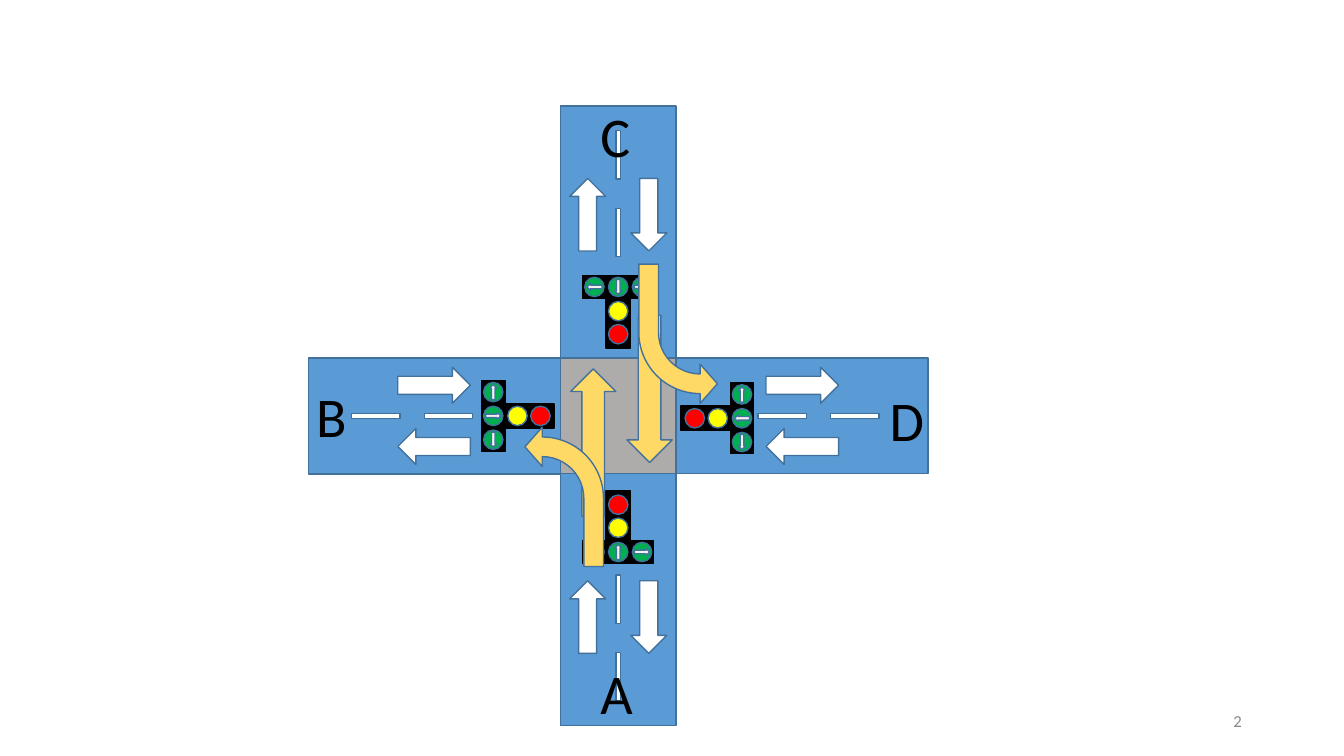
from math import cos, radians, sin

from pptx import Presentation
from pptx.dml.color import RGBColor
from pptx.enum.shapes import MSO_SHAPE as Shape
from pptx.enum.text import MSO_ANCHOR as Anchor, PP_ALIGN as Align
from pptx.util import Cm, Pt

BLUE = RGBColor(0x5B, 0x9B, 0xD5)
OUTLINE = RGBColor(0x42, 0x71, 0x9C)
GREY = RGBColor(0xAE, 0xAB, 0xAB)
WHITE = RGBColor(0xFF, 0xFF, 0xFF)
PALE = RGBColor(0xF2, 0xF2, 0xF2)
BLACK = RGBColor(0x00, 0x00, 0x00)
GREEN = RGBColor(0x00, 0xB0, 0x50)
YELLOW = RGBColor(0xFF, 0xFF, 0x00)
RED = RGBColor(0xFF, 0x00, 0x00)
GOLD = RGBColor(0xFF, 0xD9, 0x66)
NUMBER_GREY = RGBColor(0x88, 0x88, 0x88)

CENTRE_X, CENTRE_Y = 15.58, 10.48
ROAD_WIDTH, ROAD_LENGTH = 2.92, 6.35
LANE_OFFSET = 0.77
LAMP_OFFSET = 0.6
HEAD_OFFSET = 0.62

deck = Presentation()
deck.slide_width, deck.slide_height = Cm(33.87), Cm(19.05)
page = deck.slides.add_slide(deck.slide_layouts[6])


def place(group, kind, out, side, width, height, fill, arm=0, turn=0, line=OUTLINE):
    """Centre a shape `out` along an arm and `side` across it, in cm from the crossing."""
    angle = radians(arm)
    x = CENTRE_X + out * cos(angle) - side * sin(angle)
    y = CENTRE_Y + out * sin(angle) + side * cos(angle)
    box = group.shapes.add_shape(
        kind, Cm(x - width / 2), Cm(y - height / 2), Cm(width), Cm(height))
    box.rotation = (arm + turn) % 360
    box.shadow.inherit = False
    box.fill.solid()
    box.fill.fore_color.rgb = fill
    box.line.color.rgb = line
    box.line.width = Pt(1)
    return box


def write(text, left, top, width, height, size=40, color=BLACK,
          align=Align.LEFT, anchor=Anchor.TOP):
    box = page.shapes.add_textbox(Cm(left), Cm(top), Cm(width), Cm(height))
    frame = box.text_frame
    frame.word_wrap = True
    frame.vertical_anchor = anchor
    para = frame.paragraphs[0]
    para.alignment = align
    span = para.add_run()
    span.text = text
    span.font.name = "Calibri"
    span.font.size = Pt(size)
    span.font.color.rgb = color


# Crossing
roads = page.shapes.add_group_shape()
place(roads, Shape.RECTANGLE, 0, 0, ROAD_WIDTH, ROAD_WIDTH, GREY)

# Arms D, A, B, C: direction, dash distances, lane arrows, signal distance and shift
arms = [
    (0, (4.13, 5.96), 4.64, 2.5, 0.06),
    (90, (4.62, 6.58), 5.07, 2.81, 0),
    (180, (4.28, 6.11), 4.64, 2.53, 0),
    (270, (4.62, 6.58), 5.07, 2.63, 0),
]
for arm, dashes, lane, signal, shift in arms:
    # Road, centre dashes and lane arrows
    place(roads, Shape.RECTANGLE, (ROAD_WIDTH + ROAD_LENGTH) / 2, 0,
          ROAD_LENGTH, ROAD_WIDTH, BLUE, arm)
    for dash in dashes:
        place(roads, Shape.RECTANGLE, dash, 0, 1.22, 0.12, WHITE, arm)
    for side, turn in ((-LANE_OFFSET, 0), (LANE_OFFSET, 180)):
        place(roads, Shape.RIGHT_ARROW, lane, side, 1.83, 0.91, WHITE, arm, turn)

    # T-shaped signal housing
    head = signal + HEAD_OFFSET
    place(roads, Shape.RECTANGLE, signal, shift, 1.83, 0.61, BLACK, arm, line=BLACK)
    for side in (-LAMP_OFFSET, LAMP_OFFSET):
        place(roads, Shape.RECTANGLE, head, shift + side, 0.59, 0.59, BLACK, arm, line=BLACK)

    # Red and yellow lamps, then green lamps with their arrows
    for step, color in ((-0.57, RED), (0.01, YELLOW)):
        place(roads, Shape.OVAL, signal + step, shift, 0.49, 0.49, color, arm)
    for side, turn in ((-LAMP_OFFSET, -90), (0, 180), (LAMP_OFFSET, 90)):
        place(roads, Shape.OVAL, head, shift + side, 0.49, 0.49, GREEN, arm)
        place(roads, Shape.RIGHT_ARROW, head, shift + side, 0.38, 0.18, PALE, arm, turn)

# Road letters
for letter, left, top in (("A", 14.88, 16.46), ("C", 14.88, 2.44),
                          ("D", 22.17, 9.58), ("B", 7.72, 9.5)):
    write(letter, left, top, 1.19, 1.96)

# Permitted movements: straight on and bending left, from C and from A
movements = page.shapes.add_group_shape()
for arm, straight, bend in ((0, (0.79, -0.68), (1.51, -2.07)),
                            (180, (0.63, -0.67), (1.36, -2.04))):
    place(movements, Shape.DOWN_ARROW, *straight, 1.14, 3.71, GOLD, arm)
    curve = place(movements, Shape.BENT_ARROW, *bend, 1.98, 3.51, GOLD, arm, 180)
    curve.element.spPr.xfrm.set("flipH", "1")
    for index, value in enumerate((0.25, 0.25, 0.22, 0.78)):
        curve.adjustments[index] = value

# Page number
write("2", 23.93, 17.65, 7.62, 1.02, size=12, color=NUMBER_GREY,
      align=Align.RIGHT, anchor=Anchor.MIDDLE)

deck.save("out.pptx")
